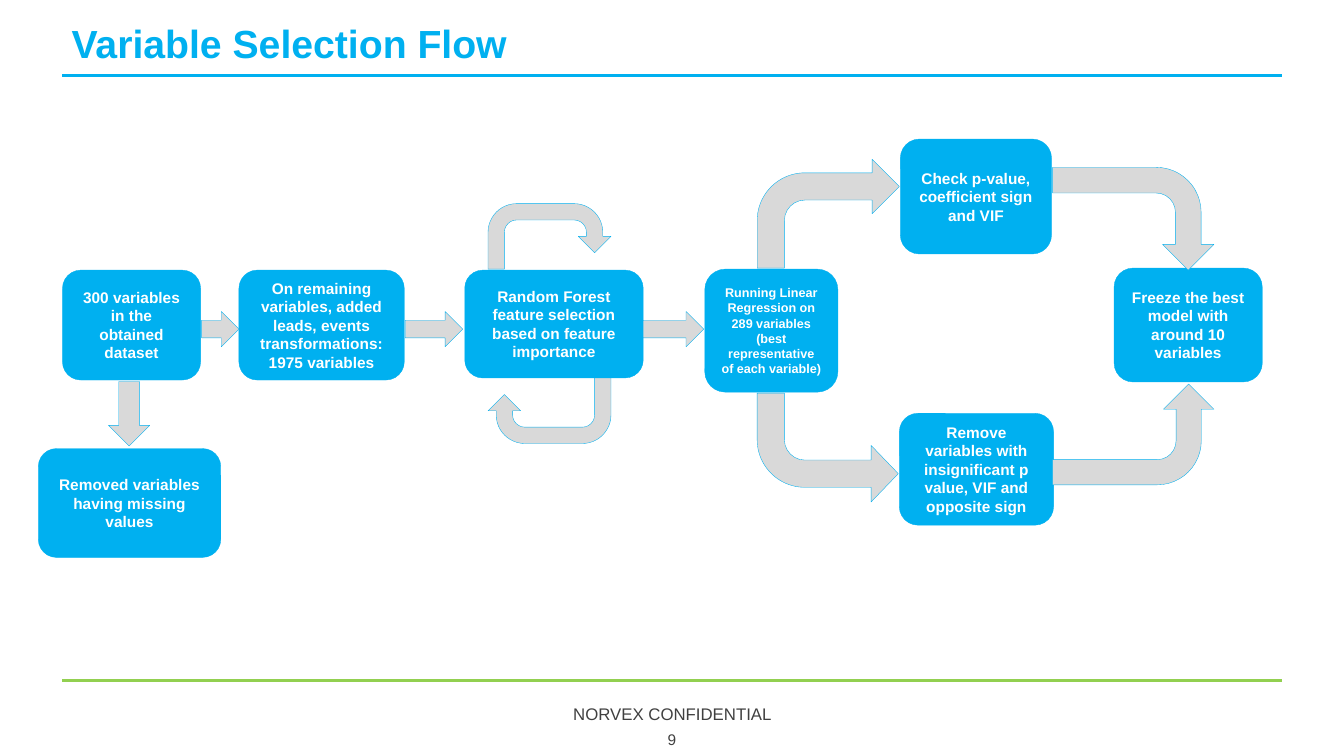
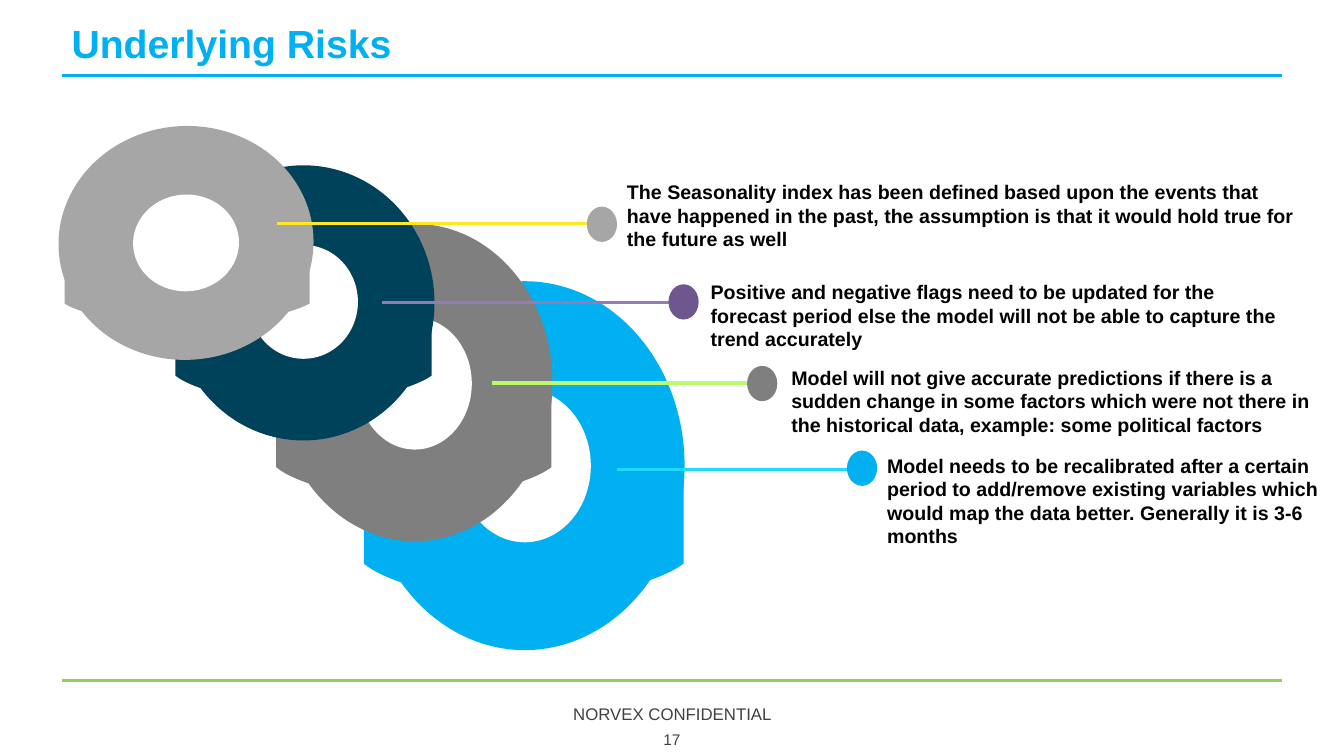
from pptx import Presentation
from pptx import util as u
from pptx.dml.color import RGBColor
from pptx.enum import shapes, text
from pptx.oxml.ns import qn
from lxml import etree

FONT = "Arial"
BLUE, GREEN, WHITE, BLACK = "00B0F0", "92D050", "FFFFFF", "000000"
FOOTER_INK, ARROW_GRAY = "404040", "D9D9D9"
LIGHT_GRAY, MID_GRAY, NAVY, PURPLE = "A6A6A6", "7F7F7F", "00425A", "6E578F"
PAGE = (0, 0, 13.33, 7.5)
CONTENT = (0, 1, 13.33, 5.6)
BASE_SIDES = [(1, 0), (1, 0.72)]
BASE_CURVES = [(0.91, 0.88), (0.66, 1), (0.48, 1), (0.32, 1), (0.08, 0.88), (0, 0.72)]

STEPS = [
    (0.62, 1.68, 1.37, 1.09, 11, "300 variables in the obtained dataset"),
    (2.37, 1.68, 1.64, 1.09, 11, "On remaining variables, added leads, events transformations: 1975 variables"),
    (4.61, 1.68, 1.77, 1.07, 11, "Random Forest feature selection based on feature importance"),
    (6.99, 1.67, 1.32, 1.22, 9, "Running Linear Regression on 289 variables (best representative of each variable)"),
    (8.93, 0.38, 1.5, 1.14, 11, "Check p-value, coefficient sign and VIF"),
    (8.92, 3.1, 1.53, 1.11, 11, "Remove variables with insignificant p value, VIF and opposite sign"),
    (11.05, 1.66, 1.47, 1.13, 11, "Freeze the best model with around 10 variables"),
    (0.38, 3.45, 1.81, 1.08, 11, "Removed variables having missing values"),
]

BENT = shapes.MSO_SHAPE.BENT_ARROW
RIGHT = shapes.MSO_SHAPE.RIGHT_ARROW
UTURN = shapes.MSO_SHAPE.U_TURN_ARROW
ARROWS = [
    (BENT, 7.51, 0.58, 1.41, 1.08, 0, False, 0.25),
    (BENT, 7.51, 2.9, 1.4, 1.08, 180, True, 0.26),
    (BENT, 10.73, 0.37, 1.02, 1.6, 90, False, 0.25),
    (BENT, 10.74, 2.51, 1, 1.6, 90, True, 0.25),
    (RIGHT, 0.96, 2.9, 0.64, 0.41, 90, False, 0.5),
    (UTURN, 4.84, 1.02, 1.22, 0.65, 0, False, 0.25),
    (UTURN, 4.84, 2.75, 1.22, 0.65, 180, False, 0.25),
    (RIGHT, 2, 2.09, 0.37, 0.35, 0, False, 0.5),
    (RIGHT, 4.02, 2.09, 0.57, 0.35, 0, False, 0.5),
    (RIGHT, 6.38, 2.09, 0.6, 0.35, 0, False, 0.5),
]

RINGS = [
    (BLUE, (3.61, 3.62, 3.17, 1.35), (3.62, 1.79, 3.17, 3.66), (4.55, 2.86, 1.31, 1.52), 0),
    (MID_GRAY, (2.74, 2.8, 2.73, 1.16), (2.75, 1.22, 2.73, 3.15), (3.55, 2.15, 1.13, 1.31), 0),
    (NAVY, (1.74, 2, 2.54, 1.01), (1.71, 0.64, 2.6, 2.73), (2.47, 1.43, 1.08, 1.13), 0),
    (LIGHT_GRAY, (0.64, 1.45, 2.43, 0.78), (0.58, 0.25, 2.53, 2.32), (1.32, 0.93, 1.05, 0.96), 356.8),
]

RISKS = [
    ("FFE821", (2.75, 1.22), LIGHT_GRAY, (5.82, 1.05), (6.12, 0.74, 6.84, 0.76),
     "The Seasonality index has been defined based upon the events that have happened in the past, "
     "the assumption is that it would hold true for the future as well"),
    ("937BB6", (3.79, 2), PURPLE, (6.63, 1.82), (6.95, 1.73, 6, 0.75),
     "Positive and negative flags need to be updated for the forecast period else the model "
     "will not be able to capture the trend accurately"),
    ("B9F974", (4.88, 2.8), MID_GRAY, (7.41, 2.63), (7.75, 2.58, 5.46, 0.78),
     "Model will not give accurate predictions if there is a sudden change in some factors "
     "which were not there in the historical data, example: some political factors"),
    ("21D8FF", (6.12, 3.66), BLUE, (8.4, 3.47), (8.7, 3.45, 4.63, 0.75),
     "Model needs to be recalibrated after a certain period to add/remove existing variables "
     "which would map the data better. Generally it is 3-6 months"),
]


def color(value):
    """Turn a hex string into a colour."""
    return RGBColor.from_string(value)


def inside(area, box):
    """Give the lengths of a box placed relative to an area."""
    left, top, width, height = box
    return [u.Inches(length) for length in (area[0] + left, area[1] + top, width, height)]


def paint(shape, fill, line=None):
    """Set a flat fill and a thin line or none."""
    shape.shadow.inherit = False
    shape.fill.solid()
    shape.fill.fore_color.rgb = color(fill)
    if line:
        shape.line.color.rgb = color(line)
        shape.line.width = u.Pt(0.25)
    else:
        shape.line.fill.background()


def write(shape, words, size, ink, bold=False, align=None, anchor=text.MSO_ANCHOR.MIDDLE):
    """Put one formatted paragraph in a shape and return it."""
    frame = shape.text_frame
    frame.word_wrap = True
    frame.auto_size = text.MSO_AUTO_SIZE.NONE
    frame.vertical_anchor = anchor
    paragraph = frame.paragraphs[0]
    paragraph.text = words
    paragraph.alignment = align
    font = paragraph.font
    font.name, font.size, font.bold = FONT, u.Pt(size), bold
    font.color.rgb = color(ink)
    return paragraph


def add_line(slide, area, start, end, y, ink):
    """Draw a level line relative to an area."""
    left, top, width, height = inside(area, (start, y, end - start, 0))
    connector = slide.shapes.add_connector(
        shapes.MSO_CONNECTOR.STRAIGHT, left, top, left + width, top)
    connector.line.color.rgb = color(ink)
    connector.line.width = u.Pt(2.25)
    etree.SubElement(connector.element.spPr, qn("a:effectLst"))


def add_preset(slide, area, preset, box, fill, line=None):
    """Add a painted preset shape relative to an area."""
    shape = slide.shapes.add_shape(preset, *inside(area, box))
    paint(shape, fill, line)
    return shape


def add_page(presentation, title, number, area=PAGE):
    """Add a slide with its title, rules and footer."""
    slide = presentation.slides.add_slide(presentation.slide_layouts[5])
    heading = slide.shapes.title
    heading.left, heading.top, heading.width, heading.height = inside(area, (0.61, 0.11, 11.74, 0.6))
    paragraph = write(heading, title, 28, BLUE, True, text.PP_ALIGN.LEFT, text.MSO_ANCHOR.BOTTOM)
    paragraph.line_spacing = 0.9
    for y, ink in ((0.75, BLUE), (6.75, GREEN)):
        add_line(slide, area, 0.62, 12.72, y, ink)
    for box, words, size in (((4.42, 6.93, 4.5, 0.3), "NORVEX CONFIDENTIAL", 12),
                             ((6.12, 7.21, 1.09, 0.25), str(number), 11)):
        footer = slide.shapes.add_textbox(*inside(area, box))
        write(footer, words, size, FOOTER_INK, align=text.PP_ALIGN.CENTER)
    return slide


def add_flow(slide, area):
    """Draw the steps of the flow and the arrows between them."""
    for *box, size, words in STEPS:
        step = add_preset(slide, area, shapes.MSO_SHAPE.ROUNDED_RECTANGLE, box, BLUE, BLUE)
        write(step, words, size, WHITE, True, text.PP_ALIGN.CENTER)
    for preset, *box, rotation, flipped, head in ARROWS:
        arrow = add_preset(slide, area, preset, box, ARROW_GRAY, BLUE)
        arrow.rotation = rotation
        arrow.adjustments[1] = head
        if flipped:
            arrow.element.spPr.find(qn("a:xfrm")).set("flipH", "1")


def round_corners(shape, first):
    """Join each three straight segments from the first on into a cubic curve."""
    segments = list(shape.element.iter(qn("a:lnTo")))[first:]
    for index in range(0, len(segments) - 2, 3):
        curve = etree.Element(qn("a:cubicBezTo"))
        segments[index].addprevious(curve)
        for segment in segments[index:index + 3]:
            curve.append(segment[0])
            segment.getparent().remove(segment)


def add_base(slide, area, box, fill):
    """Draw the round-bottomed base of a ring."""
    left, top, width, height = inside(area, box)
    builder = slide.shapes.build_freeform(left, top)
    builder.add_line_segments([(left + x * width, top + y * height) for x, y in BASE_SIDES + BASE_CURVES])
    base = builder.convert_to_shape()
    round_corners(base, len(BASE_SIDES))
    paint(base, fill)


def add_ring(slide, area, fill, base, disc, hole, rotation):
    """Draw a base, a disc and the hole in its middle."""
    add_base(slide, area, base, fill)
    for box, ink in ((disc, fill), (hole, WHITE)):
        add_preset(slide, area, shapes.MSO_SHAPE.OVAL, box, ink).rotation = rotation


def add_risk(slide, area, line_ink, start, dot_ink, dot, box, words):
    """Draw a leader line, its dot and the risk beside it."""
    left, top = dot
    width, height = 0.3, 0.35
    add_line(slide, area, start[0], left + width / 2, start[1], line_ink)
    add_preset(slide, area, shapes.MSO_SHAPE.OVAL, (left, top, width, height), dot_ink)
    label = slide.shapes.add_textbox(*inside(area, box))
    paragraph = write(label, words, 14, BLACK, True, anchor=text.MSO_ANCHOR.TOP)
    paragraph.space_before = paragraph.space_after = u.Pt(3)


def add_risks(slide, area):
    """Draw the overlapping rings and their risks."""
    for ring in RINGS:
        add_ring(slide, area, *ring)
    for risk in RISKS:
        add_risk(slide, area, *risk)


def main():
    """Build and save the presentation."""
    presentation = Presentation()
    presentation.slide_width, presentation.slide_height = u.Inches(PAGE[2]), u.Inches(PAGE[3])
    add_flow(add_page(presentation, "Variable Selection Flow", 9), CONTENT)
    add_risks(add_page(presentation, "Underlying Risks", 17), CONTENT)
    presentation.save("out.pptx")


if __name__ == "__main__":
    main()
